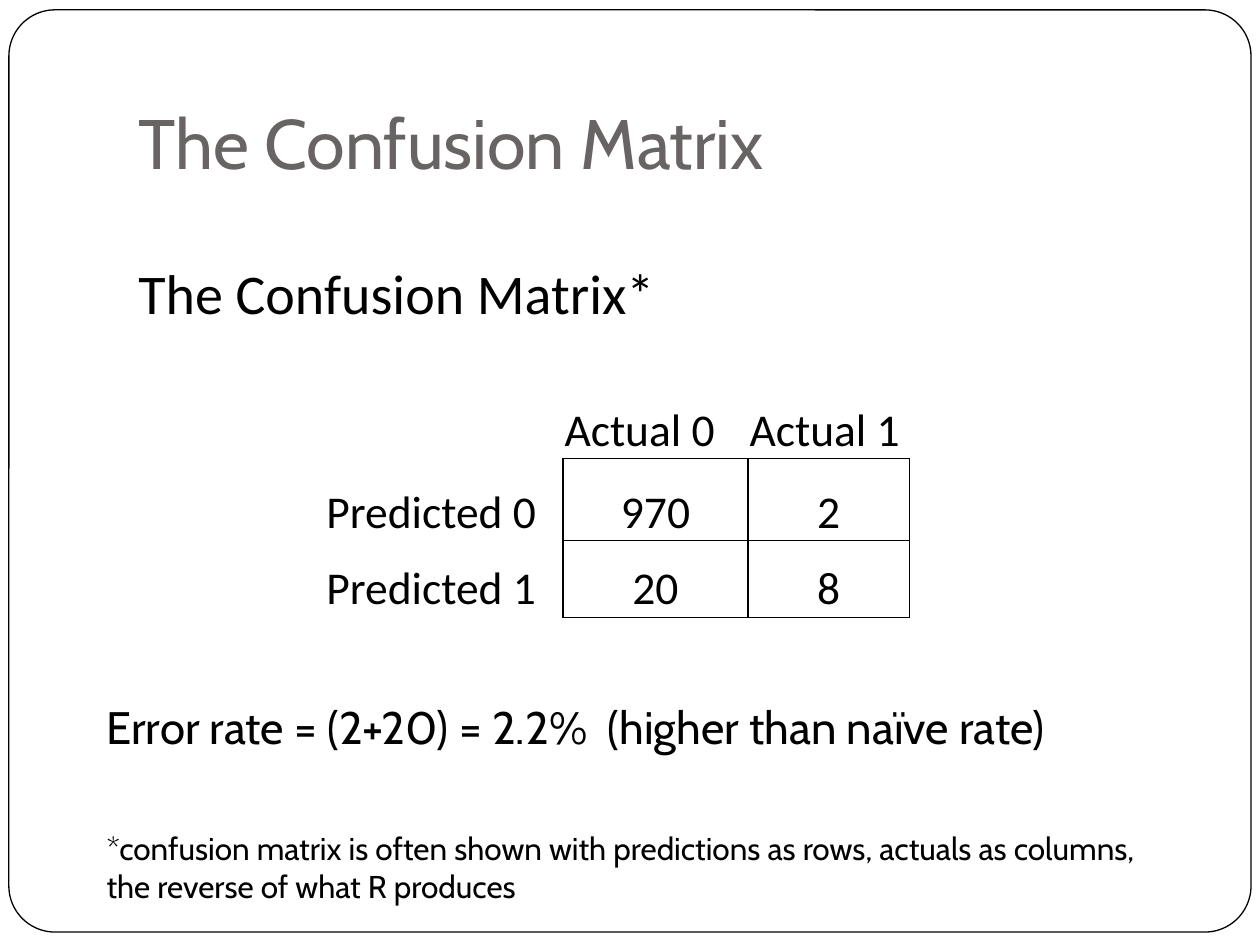
import pptx
import pptx.util
import pptx.dml.color
import pptx.enum.shapes
import pptx.enum.text
import pptx.oxml
import pptx.oxml.ns

Cm, Pt = pptx.util.Cm, pptx.util.Pt
RGB = pptx.dml.color.RGBColor.from_string
ANCHOR = pptx.enum.text.MSO_ANCHOR
ALIGN = pptx.enum.text.PP_ALIGN

THEME = {
    "paper": "FFFFFF", "ink": "000000", "grey": "696464", "line": 0.75,
    "head": "Cabin", "plain": "Calibri",
    "title": 40, "sub": 32, "body": 26, "note": 18,
}

# Each text: words, font, size, colour, space before in points
TITLE = [("The Confusion Matrix", "head", "title", "grey", 0)]
SUB = [("The Confusion Matrix*", "plain", "sub", "ink", 0)]
BODY = [
    ("Error rate = (2+20) = 2.2%  (higher than naïve rate)", "head", "body", "ink", 0),
    ("*confusion matrix is often shown with predictions as rows, "
     "actuals as columns, the reverse of what R produces", "head", "note", "ink", 43),
]
# Each box: place in cm, anchor, bottom inset in cm, texts
BOXES = [
    ((2.54, 0.76, 21.59, 3.18), ANCHOR.BOTTOM, 0.25, TITLE),
    ((1.9, 13.97, 22.23, 3.38), ANCHOR.TOP, 0.13, BODY),
    ((2.54, 5.08, 16.71, 1.63), ANCHOR.TOP, 0.13, SUB),
]
FRAME = (0.18, 0.2, 25.04, 18.59)
MATRIX = [
    ["", "Actual 0", "Actual 1"],
    ["Predicted 0", "970", "2"],
    ["Predicted 1", "20", "8"],
]
SPOT = (6.55, 8.05)
COLS = [4.8, 3.73, 3.25]
ROWS = [1.19, 1.65, 1.55]


def put(item, **values):
    for name, value in values.items():
        setattr(item, name, value)


def write(para, words, font, size, ink, before=0):
    para.space_before = Pt(before)
    run = para.add_run()
    run.text = words
    put(run.font, name=THEME[font], size=Pt(THEME[size]))
    run.font.color.rgb = RGB(THEME[ink])


def add_frame(slide):
    kind = pptx.enum.shapes.MSO_SHAPE.ROUNDED_RECTANGLE
    frame = slide.shapes.add_shape(kind, *map(Cm, FRAME))
    frame.adjustments[0] = 0.05
    frame.shadow.inherit = False
    frame.fill.solid()
    frame.fill.fore_color.rgb = RGB(THEME["paper"])
    frame.line.color.rgb = RGB(THEME["ink"])
    frame.line.width = Pt(THEME["line"])


def add_box(slide, place, anchor, base, texts):
    frame = slide.shapes.add_textbox(*map(Cm, place)).text_frame
    put(frame, word_wrap=True, vertical_anchor=anchor, margin_bottom=Cm(base))
    for i, text in enumerate(texts):
        write(frame.add_paragraph() if i else frame.paragraphs[0], *text)


def add_edges(cell, row, col):
    """Rule every edge that touches a count; clear the rest."""
    count = row > 0 and col > 0
    drawn = {"L": count, "R": row > 0, "T": count, "B": col > 0}
    for side, shown in drawn.items():
        fill = (f'<a:solidFill><a:srgbClr val="{THEME["ink"]}"/></a:solidFill>'
                if shown else "<a:noFill/>")
        cell._tc.get_or_add_tcPr().append(pptx.oxml.parse_xml(
            f'<a:ln{side} {pptx.oxml.ns.nsdecls("a")} '
            f'w="{Pt(THEME["line"])}">{fill}</a:ln{side}>'))


def add_matrix(slide):
    size = (sum(COLS), sum(ROWS))
    table = slide.shapes.add_table(
        len(ROWS), len(COLS), *map(Cm, SPOT + size)).table
    put(table, first_row=False, horz_banding=False)
    for col, width in zip(table.columns, COLS):
        col.width = Cm(width)
    for row, height in zip(table.rows, ROWS):
        row.height = Cm(height)
    for r, line in enumerate(MATRIX):
        for c, words in enumerate(line):
            cell = table.cell(r, c)
            put(cell, vertical_anchor=ANCHOR.BOTTOM, margin_left=Cm(0.03),
                margin_right=Cm(0.03), margin_top=Cm(0.03), margin_bottom=0)
            add_edges(cell, r, c)
            cell.fill.background()
            if words:
                para = cell.text_frame.paragraphs[0]
                para.alignment = ALIGN.CENTER if r and c else ALIGN.LEFT
                write(para, words, "plain", "body", "ink")


def main():
    deck = pptx.Presentation()
    put(deck, slide_width=Cm(25.4), slide_height=Cm(19.05))
    slide = deck.slides.add_slide(deck.slide_layouts[6])
    add_frame(slide)
    for box in BOXES:
        add_box(slide, *box)
    add_matrix(slide)
    deck.save("out.pptx")


if __name__ == "__main__":
    main()
